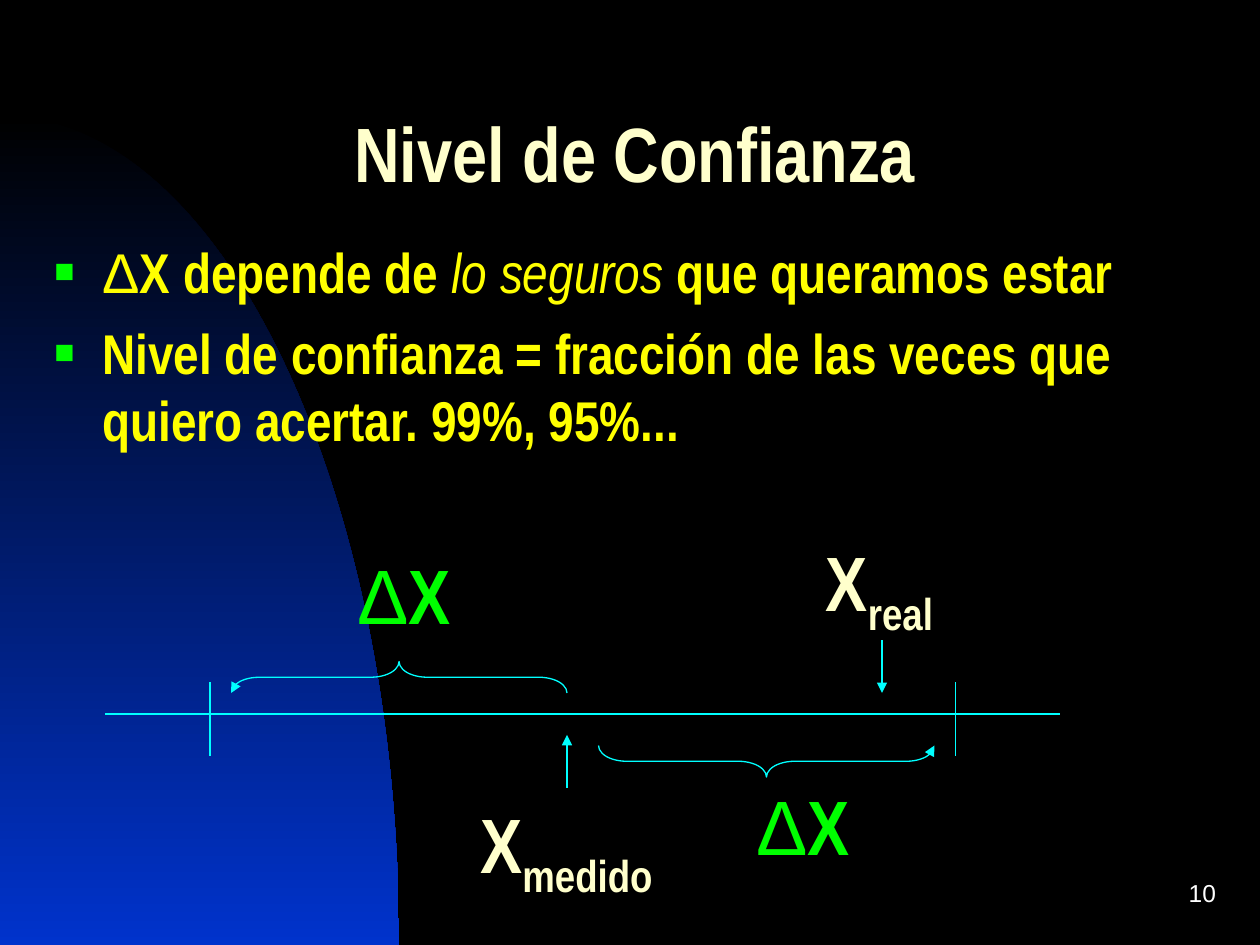
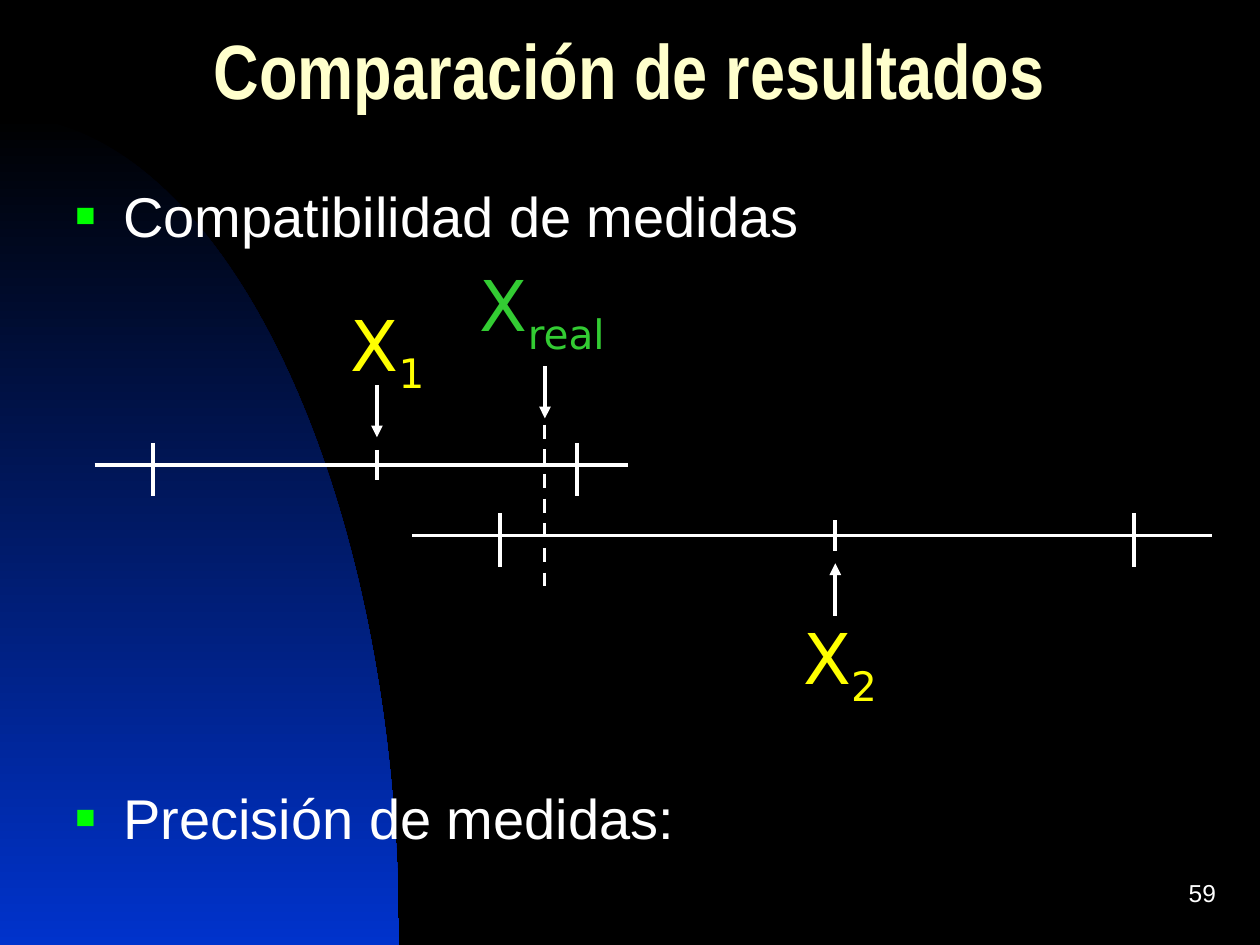
"""Build two slides on the confidence level and the matching of results."""
from dataclasses import dataclass
from typing import NamedTuple

from lxml import etree
from pptx import Presentation
from pptx.dml.color import RGBColor
from pptx.enum.dml import MSO_LINE
from pptx.enum.shapes import MSO_CONNECTOR, MSO_SHAPE
from pptx.enum.text import MSO_ANCHOR, MSO_AUTO_SIZE, PP_ALIGN
from pptx.oxml.ns import qn
from pptx.util import Inches, Pt

BLACK = RGBColor(0x00, 0x00, 0x00)
BLUE = RGBColor(0x00, 0x33, 0xCC)
WHITE = RGBColor(0xFF, 0xFF, 0xFF)
CREAM = RGBColor(0xFF, 0xFF, 0xCC)
YELLOW = RGBColor(0xFF, 0xFF, 0x00)
LIME = RGBColor(0x00, 0xFF, 0x00)
GREEN = RGBColor(0x33, 0xCC, 0x33)
CYAN = RGBColor(0x00, 0xFF, 0xFF)

STRAIGHT = MSO_CONNECTOR.STRAIGHT
BRACE = MSO_SHAPE.LEFT_BRACE
DASH = MSO_LINE.DASH
TOP, MIDDLE = MSO_ANCHOR.TOP, MSO_ANCHOR.MIDDLE
FIXED = MSO_AUTO_SIZE.NONE
LEFT, CENTER, RIGHT = PP_ALIGN.LEFT, PP_ALIGN.CENTER, PP_ALIGN.RIGHT

WIDE, HIGH = Inches(10), Inches(7.5)
COLS = 120
CELL = WIDE / COLS
ROWS = HIGH / CELL
STEPS = 80
TITLE_ONLY = 5
PLAIN, NARROW, SANS = "Arial", "Arial Narrow", "DejaVu Sans"
TIGHT = {"alignment": CENTER, "line_spacing": 0.7}


class Box(NamedTuple):
    """Place and size in grid cells."""
    col: float
    row: float
    wide: float
    high: float


class Run(NamedTuple):
    """A stretch of text in one style."""
    text: str
    face: str
    size: float
    color: RGBColor
    bold: bool = False
    slant: bool = False
    sub: bool = False


class Label(NamedTuple):
    """A centred mark made of runs."""
    box: Box
    runs: list[Run]


class Pen(NamedTuple):
    """Colour and width of a line."""
    color: RGBColor
    width: float


class Arrow(NamedTuple):
    """An upright arrow in one column."""
    col: float
    tail: float
    tip: float


@dataclass
class Scale:
    """A number line with an interval and, if given, its centre."""
    left: float
    right: float
    row: float
    low: float
    high: float
    rise: float
    drop: float
    mid: float | None = None


MARGIN = {"margin_left": Inches(0.1), "margin_right": Inches(0.1),
          "margin_top": Inches(0.05), "margin_bottom": Inches(0.05)}
FRAME = {"word_wrap": True, "auto_size": FIXED, **MARGIN}
THIN, BOLD = Pen(CYAN, 0.75), Pen(CYAN, 1.5)
CHALK, DOTS = Pen(WHITE, 2.25), Pen(WHITE, 2)
MID_TICK = 1.44


def apply(target, values: dict) -> None:
    """Set each named value on the target."""
    for name, value in values.items():
        setattr(target, name, value)


def cells(*counts: float) -> list[int]:
    """Turn grid cells into lengths."""
    return [round(count * CELL) for count in counts]


def add_runs(para, runs: list[Run]) -> None:
    """Write styled runs into a paragraph."""
    for item in runs:
        run = para.add_run()
        run.text = item.text
        apply(run.font, {"name": item.face, "size": Pt(item.size),
                         "bold": item.bold, "italic": item.slant})
        run.font.color.rgb = item.color
        if item.sub:
            run.font._element.set("baseline", "-25000")


def add_bullet(para) -> None:
    """Give a paragraph a green square and a hanging indent."""
    props = para._p.get_or_add_pPr()
    props.set("marL", str(Inches(0.38)))
    props.set("indent", str(-Inches(0.38)))
    color = etree.SubElement(props, qn("a:buClr"))
    etree.SubElement(color, qn("a:srgbClr")).set("val", str(LIME))
    etree.SubElement(props, qn("a:buSzPct")).set("val", "60000")
    etree.SubElement(props, qn("a:buFont")).set("typeface", PLAIN)
    etree.SubElement(props, qn("a:buChar")).set("char", "■")


def add_text(slide, box: Box, paras: list[list[Run]], look: dict,
             anchor=TOP, dots: bool = False) -> None:
    """Add a text box with one paragraph per list of runs."""
    frame = slide.shapes.add_textbox(*cells(*box)).text_frame
    apply(frame, {**FRAME, "vertical_anchor": anchor})
    for pos, runs in enumerate(paras):
        para = frame.add_paragraph() if pos else frame.paragraphs[0]
        if dots:
            add_bullet(para)
        apply(para, look)
        if pos:
            para.space_before = Pt(8)
        add_runs(para, runs)


def add_list(slide, box: Box, paras: list[list[Run]]) -> None:
    """Add a bulleted list."""
    add_text(slide, box, paras, {"alignment": LEFT}, dots=True)


def add_label(slide, label: Label) -> None:
    """Add a centred label."""
    add_text(slide, label.box, [label.runs], TIGHT)


def set_line(shape, pen: Pen, end: str = "") -> None:
    """Style a line and put an arrowhead on the named end."""
    shape.line.color.rgb = pen.color
    shape.line.width = Pt(pen.width)
    if end:
        edge = shape._element.spPr.find(qn("a:ln"))
        etree.SubElement(edge, qn(f"a:{end}")).set("type", "triangle")


def add_line(slide, start: tuple, stop: tuple, pen: Pen, end: str = ""):
    """Draw a straight line between two grid points."""
    line = slide.shapes.add_connector(STRAIGHT, *cells(*start, *stop))
    set_line(line, pen, end)
    etree.SubElement(line._element.spPr, qn("a:effectLst"))
    return line


def add_arrow(slide, arrow: Arrow, pen: Pen) -> None:
    """Draw an upright arrow."""
    add_line(slide, (arrow.col, arrow.tail), (arrow.col, arrow.tip),
             pen, "tailEnd")


def add_scale(slide, scale: Scale, pen: Pen) -> None:
    """Draw a number line and its ticks."""
    row = scale.row
    add_line(slide, (scale.left, row), (scale.right, row), pen)
    ticks = [(col, scale.rise, scale.drop) for col in (scale.low, scale.high)]
    if scale.mid is not None:
        ticks.append((scale.mid, MID_TICK, MID_TICK))
    for col, rise, drop in ticks:
        add_line(slide, (col, row - rise), (col, row + drop), pen)


def add_brace(slide, box: Box, turn: int) -> None:
    """Draw a lying brace that fills the box, with an arrowhead."""
    left = box.col + (box.wide - box.high) / 2
    top = box.row + (box.high - box.wide) / 2
    brace = slide.shapes.add_shape(
        BRACE, *cells(left, top, box.high, box.wide))
    brace.adjustments[0] = 0.89
    brace.rotation = turn
    brace.shadow.inherit = False
    brace.fill.background()
    set_line(brace, THIN, "headEnd")


def bend(start: float, pull: float, push: float, stop: float,
         part: float) -> float:
    """Give a value along a cubic curve."""
    rest = 1 - part
    return (start * rest ** 3 + 3 * pull * rest ** 2 * part
            + 3 * push * rest * part ** 2 + stop * part ** 3)


def add_arc(slide) -> None:
    """Draw the blue curved field at the left."""
    points = [cells(bend(0, 21, 38, 38, step / STEPS),
                    bend(11, 11, 46.4, ROWS, step / STEPS))
              for step in range(STEPS + 1)]
    form = slide.shapes.build_freeform(*points[0])
    form.add_line_segments(points[1:] + [cells(0, ROWS)], close=True)
    arc = form.convert_to_shape()
    arc.shadow.inherit = False
    arc.line.fill.background()
    arc.fill.gradient()
    arc.fill.gradient_angle = 270
    for stop, color, place in zip(arc.fill.gradient_stops,
                                  (BLACK, BLUE), (0, 1)):
        stop.color.rgb = color
        stop.position = place


def add_slide(deck, title: str, box: Box, number: str):
    """Add a slide with the shared field, title and number."""
    slide = deck.slides.add_slide(deck.slide_layouts[TITLE_ONLY])
    add_arc(slide)
    head = slide.shapes.title
    apply(head, dict(zip(("left", "top", "width", "height"), cells(*box))))
    apply(head.text_frame, {**FRAME, "vertical_anchor": MIDDLE})
    para = head.text_frame.paragraphs[0]
    apply(para, TIGHT)
    add_runs(para, [Run(title, NARROW, 44, CREAM, True)])
    add_text(slide, Box(92, 82, 25, 6), [[Run(number, PLAIN, 14, WHITE)]],
             {"alignment": RIGHT}, MIDDLE)
    return slide


def mark(base: Run, sub: str) -> list[Run]:
    """Pair a base run with its subscript."""
    return [base, base._replace(text=sub, sub=True)]


def build_trust(deck) -> None:
    """Build the slide on the confidence level."""
    slide = add_slide(deck, "Nivel de Confianza", Box(5, 8, 111, 15), "10")
    strong = Run("", NARROW, 32, YELLOW, True)
    add_list(slide, Box(4, 22, 112, 54), [
        [Run("Δ", PLAIN, 32, YELLOW),
         strong._replace(text="X depende de "),
         strong._replace(text="lo seguros", bold=False, slant=True),
         strong._replace(text=" que queramos estar")],
        [strong._replace(text="Nivel de confianza = fracción de las veces "
                              "que quiero acertar. 99%, 95%...")]])
    add_scale(slide, Scale(10, 101, 68, 20, 91, 3, 4), THIN)
    for arrow in (Arrow(54, 75, 70), Arrow(84, 61, 66)):
        add_arrow(slide, arrow, BOLD)
    add_brace(slide, Box(22, 63, 32, 3), 90)
    add_brace(slide, Box(57, 71, 32, 3), 270)
    value = Run("X", NARROW, 44, CREAM, True)
    delta = [Run("Δ", PLAIN, 44, LIME), value._replace(color=LIME)]
    for label in (Label(Box(43.2, 77, 21.5, 8.25), mark(value, "medido")),
                  Label(Box(73, 52, 21.5, 8.25), mark(value, "real")),
                  Label(Box(32, 54, 13, 7.3), delta),
                  Label(Box(70, 76, 13, 7.3), delta)):
        add_label(slide, label)


def build_match(deck) -> None:
    """Build the slide on comparing results."""
    slide = add_slide(deck, "Comparación de resultados",
                      Box(6, 2.25, 108, 10.8), "59")
    for text, row, wide in (("Compatibilidad de medidas", 16.7, 80.4),
                            ("Precisión de medidas:", 74, 65.9)):
        add_list(slide, Box(6, row, wide, 9.8),
                 [[Run(text, PLAIN, 32, WHITE)]])
    for scale in (Scale(9, 59.85, 44.28, 14.55, 54.95, 2.1, 3, 35.9),
                  Scale(39.25, 115.4, 51, 47.65, 108, 2.1, 3, 79.55)):
        add_scale(slide, scale, CHALK)
    for arrow in (Arrow(35.9, 36.7, 41.65), Arrow(79.55, 58.65, 53.65),
                  Arrow(51.9, 34.9, 39.85)):
        add_arrow(slide, arrow, CHALK)
    guide = add_line(slide, (51.85, 40.45), (51.85, 55.8), DOTS)
    guide.line.dash_style = DASH
    value = Run("X", SANS, 40, YELLOW)
    for label in (Label(Box(30.35, 29.65, 13.1, 7.55), mark(value, "1")),
                  Label(Box(73.45, 59.5, 13.1, 7.55), mark(value, "2")),
                  Label(Box(40.9, 25.9, 21.5, 7.55),
                        mark(value._replace(color=GREEN), "real"))):
        add_label(slide, label)


def main() -> None:
    """Build and save the deck."""
    deck = Presentation()
    apply(deck, {"slide_width": WIDE, "slide_height": HIGH})
    back = deck.slide_master.background.fill
    back.solid()
    back.fore_color.rgb = BLACK
    build_trust(deck)
    build_match(deck)
    deck.save("out.pptx")


if __name__ == "__main__":
    main()
